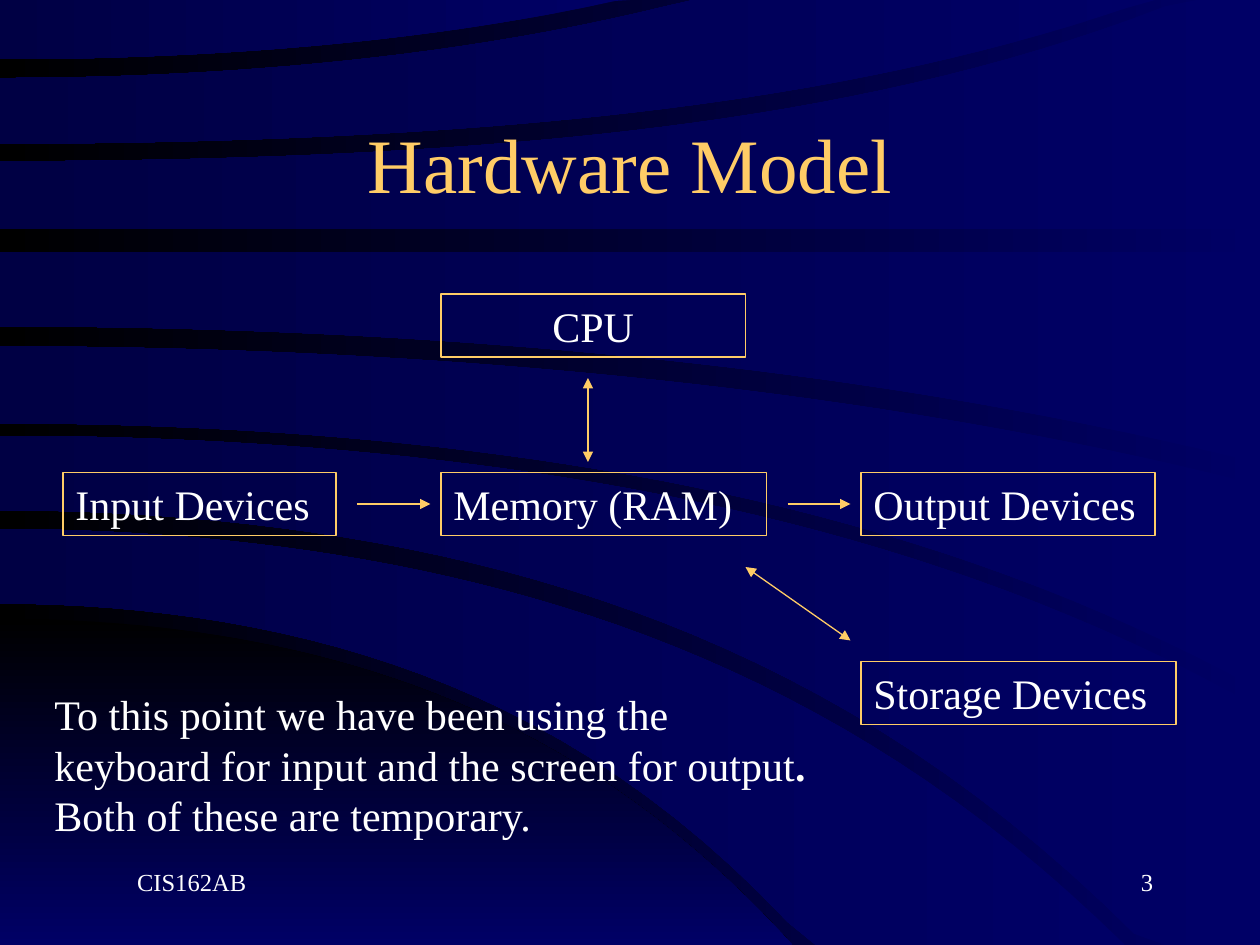
from dataclasses import dataclass

from lxml.etree import SubElement
from pptx import Presentation
from pptx.dml.color import RGBColor
from pptx.enum.shapes import MSO_CONNECTOR, MSO_SHAPE
from pptx.enum.text import MSO_ANCHOR, MSO_AUTO_SIZE, PP_ALIGN
from pptx.oxml.ns import qn
from pptx.util import Inches, Pt


@dataclass(frozen=True)
class Theme:
    font: str = "Times New Roman"
    blue: str = "000066"
    navy: str = "000044"
    black: str = "000000"
    gold: str = "FFCC66"
    white: str = "FFFFFF"
    title_size: int = 44
    body_size: int = 24
    footer_size: int = 14
    line_width: float = 0.75


THEME = Theme()
WIDTH, HEIGHT = Inches(10), Inches(7.5)
COLUMNS = 120  # square grid, 120 by 90 cells
CELL = WIDTH / COLUMNS
CURVE_STEPS = 40

# Each edge is (start, square, fourth): y = start + square * t^2 + fourth * t^4,
# in inches, where t is the share of the slide's width.
TOP, BOTTOM = (0, 0, 0), (7.5, 0, 0)
CORNER = (6.29, (4.91, 4.32, 5.63), BOTTOM)
# reach in inches, upper edge, lower edge; back to front
SWEEPS = [
    (8.93, (4.2, 2.76, 1.73), (4.79, 4.44, 5.19)),
    (10, (3.46, 1.52, 0.64), (4.05, 2.73, 1.75)),
    (10, (2.75, 0.94, 0.16), (3.36, 1.47, 0.65)),
    (10, (2, 0, 0), (2.59, 0.91, 0.18)),
    (10, (1.28, -0.77, -0.78), (1.82, 0, 0)),
    (9.17, (0.62, -1.75, -1.04), (1.14, -0.81, -0.67)),
    (5.01, TOP, (0.47, -1.64, -1.25)),
]

# label, column, row, width in columns, alignment
DEVICES = [
    ("Input Devices", 6, 45, 26, PP_ALIGN.LEFT),
    ("Memory (RAM)", 42, 45, 31, PP_ALIGN.LEFT),
    ("Output Devices", 82, 45, 28, PP_ALIGN.LEFT),
    ("CPU", 42, 28, 29, PP_ALIGN.CENTER),
    ("Storage Devices", 82, 63, 30, PP_ALIGN.LEFT),
]
# start cell, end cell, arrowheads
ARROWS = [
    ((34, 48), (41, 48), ["tailEnd"]),
    ((75, 48), (81, 48), ["tailEnd"]),
    ((56, 36), (56, 44), ["headEnd", "tailEnd"]),
    ((71, 54), (81, 61), ["headEnd", "tailEnd"]),
]


def cells(*counts):
    return [round(count * CELL) for count in counts]


def color(name):
    return RGBColor.from_string(name)


def apply_gradient(fill, first, last, angle):
    """Angle runs counter-clockwise, in degrees."""
    fill.gradient()
    fill.gradient_angle = angle
    for stop, position, name in zip(fill.gradient_stops, (0, 1), (first, last)):
        stop.position = position
        stop.color.rgb = color(name)


def edge_points(reach, edge):
    """Sample an edge from left to right, kept within the slide's height."""
    start, square, fourth = edge
    points = []
    for step in range(CURVE_STEPS + 1):
        x = Inches(reach) * step / CURVE_STEPS
        share = x / WIDTH
        y = Inches(start + square * share ** 2 + fourth * share ** 4)
        points.append((round(x), min(max(y, 0), HEIGHT)))
    return points


def add_sweep(slide, sweep, first, last, angle):
    reach, upper, lower = sweep
    points = edge_points(reach, upper) + edge_points(reach, lower)[::-1]
    builder = slide.shapes.build_freeform(*points[0])
    builder.add_line_segments(points[1:], close=True)
    shape = builder.convert_to_shape()
    shape.shadow.inherit = False
    shape.line.fill.background()
    apply_gradient(shape.fill, first, last, angle)


def write_text(shape, runs, size, ink=THEME.white, align=PP_ALIGN.LEFT,
               anchor=MSO_ANCHOR.TOP, space_before=0):
    """Fill the first paragraph from (text, bold) pairs."""
    frame = shape.text_frame
    frame.word_wrap = True
    frame.vertical_anchor = anchor
    paragraph = frame.paragraphs[0]
    paragraph.alignment = align
    paragraph.space_before = Pt(space_before)
    for text, bold in runs:
        run = paragraph.add_run()
        run.text = text
        run.font.name = THEME.font
        run.font.size = Pt(size)
        run.font.bold = bold
        run.font.color.rgb = color(ink)
    return paragraph


def add_title(slide, text):
    title = slide.shapes.title
    title.left, title.top, title.width, title.height = cells(9, 8, 102, 15)
    write_text(title, [(text, False)], THEME.title_size, THEME.gold,
               PP_ALIGN.CENTER, MSO_ANCHOR.MIDDLE)
    slide.shapes.element.append(title.element)  # bring in front of the sweeps


def add_device(slide, label, column, row, width, align):
    box = slide.shapes.add_shape(MSO_SHAPE.RECTANGLE, *cells(column, row, width, 6))
    box.shadow.inherit = False
    box.fill.background()
    box.line.color.rgb = color(THEME.gold)
    box.line.width = Pt(THEME.line_width)
    write_text(box, [(label, False)], THEME.body_size, align=align, space_before=15)


def add_arrow(slide, start, end, heads):
    arrow = slide.shapes.add_connector(MSO_CONNECTOR.STRAIGHT, *cells(*start, *end))
    arrow.line.color.rgb = color(THEME.gold)
    arrow.line.width = Pt(THEME.line_width)
    properties = arrow.element.spPr
    outline = properties.find(qn("a:ln"))
    for head in heads:
        SubElement(outline, qn(f"a:{head}"), type="triangle")
    SubElement(properties, qn("a:effectLst"))


def add_note(slide, runs):
    note = slide.shapes.add_textbox(*cells(4, 65, 75, 15.6))
    write_text(note, runs, THEME.body_size, space_before=15)
    note.text_frame.auto_size = MSO_AUTO_SIZE.SHAPE_TO_FIT_TEXT


def add_footer(slide, text, column, align):
    footer = slide.shapes.add_textbox(*cells(column, 82, 25, 6))
    paragraph = write_text(footer, [(text, False)], THEME.footer_size, align=align)
    properties = paragraph._p.get_or_add_pPr()
    properties.set("marL", str(Inches(0.24)))
    properties.set("indent", "0")


def main():
    presentation = Presentation()
    presentation.slide_width, presentation.slide_height = WIDTH, HEIGHT
    slide = presentation.slides.add_slide(presentation.slide_layouts[5])
    apply_gradient(slide.background.fill, THEME.blue, THEME.black, 180)
    add_sweep(slide, CORNER, THEME.black, THEME.blue, 270)
    for sweep in SWEEPS:
        add_sweep(slide, sweep, THEME.blue, THEME.navy, 180)
    add_title(slide, "Hardware Model")
    for device in DEVICES:
        add_device(slide, *device)
    for arrow in ARROWS:
        add_arrow(slide, *arrow)
    add_note(slide, [
        ("To this point we have been using the keyboard for input "
         "and the screen for output", False),
        (". ", True),
        ("Both of these are temporary.", False),
    ])
    add_footer(slide, "3", 86, PP_ALIGN.RIGHT)
    add_footer(slide, "CIS162AB", 9, PP_ALIGN.LEFT)
    presentation.save("out.pptx")


if __name__ == "__main__":
    main()
